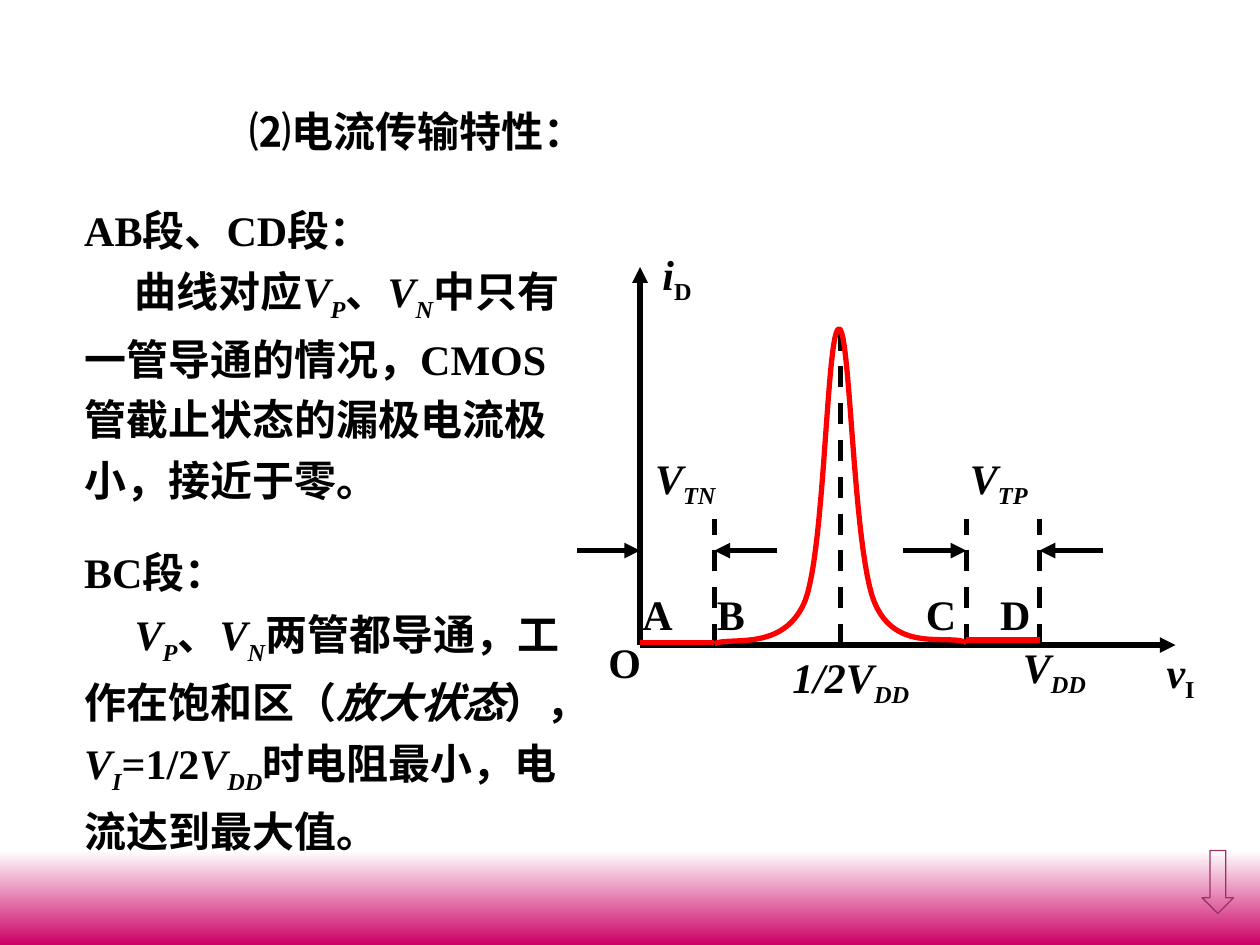
from dataclasses import dataclass

from lxml import etree
from pptx import Presentation
from pptx import util as u
from pptx.dml.color import RGBColor
from pptx.enum import dml, shapes, text
from pptx.oxml.ns import qn

Inches = u.Inches


@dataclass(frozen=True)
class Theme:
    ink: RGBColor = RGBColor(0, 0, 0)
    curve: RGBColor = RGBColor(255, 0, 0)
    paper: RGBColor = RGBColor(255, 255, 255)
    band: RGBColor = RGBColor(204, 0, 102)
    pointer: RGBColor = RGBColor(153, 51, 102)
    font: str = "Times New Roman"
    size: u.Pt = u.Pt(24)
    stroke: u.Pt = u.Pt(3)
    thin: u.Pt = u.Pt(0.75)


theme = Theme()
PLAIN = {}
VAR = {"italic": True}
SUB = {"italic": True, "sub": True}
UPRIGHT_SUB = {"sub": True}


def write(paragraph, words, italic=False, sub=False):
    run = paragraph.add_run()
    run.text = words
    run.font.name = theme.font
    run.font.size = theme.size
    run.font.bold = True
    run.font.italic = italic
    run.font.color.rgb = theme.ink
    if sub:
        run._r.get_or_add_rPr().set("baseline", "-25000")


def draw_line(x1, y1, x2, y2, color=theme.ink, arrow=False, dashed=False):
    line = slide.shapes.add_connector(
        shapes.MSO_CONNECTOR.STRAIGHT, Inches(x1), Inches(y1), Inches(x2), Inches(y2))
    line.line.color.rgb = color
    line.line.width = theme.stroke
    if dashed:
        line.line.dash_style = dml.MSO_LINE.DASH
    if arrow:
        etree.SubElement(line.line._get_or_add_ln(), qn("a:tailEnd"), type="triangle")
    etree.SubElement(line._element.spPr, qn("a:effectLst"))


prs = Presentation()
prs.slide_width, prs.slide_height = Inches(10), Inches(7.5)
slide = prs.slides.add_slide(prs.slide_layouts[5])

band = slide.shapes.add_shape(
    shapes.MSO_SHAPE.RECTANGLE, Inches(0), Inches(6.75), Inches(10), Inches(0.75))
band.shadow.inherit = False
band.line.fill.background()
band.fill.gradient()
band.fill.gradient_angle = 270
for stop, color in zip(band.fill.gradient_stops, (theme.paper, theme.band)):
    stop.color.rgb = color

title = slide.shapes.title
title.left, title.top = Inches(0.75), Inches(0.67)
title.width, title.height = Inches(5.13), Inches(0.74)
title.text_frame.vertical_anchor = text.MSO_ANCHOR.MIDDLE
heading = title.text_frame.paragraphs[0]
heading.alignment = text.PP_ALIGN.CENTER
write(heading, "⑵电流传输特性：")

origin_x, axis_y = 5.08, 5.12
v_tn, v_half, v_tp, v_dd = 5.67, 6.67, 7.67, 8.25
draw_line(origin_x, axis_y, origin_x, 2.12, arrow=True)
draw_line(origin_x, axis_y, 9.33, axis_y, arrow=True)
for x, top in ((v_tn, 4.12), (v_tp, 4.12), (v_half, 2.62), (v_dd, 4.12)):
    draw_line(x, axis_y, x, top, dashed=True)
for x, offset in ((origin_x, -0.5), (v_tn, 0.5), (v_tp, -0.5), (v_dd, 0.5)):
    draw_line(x + offset, 4.37, x, 4.37, arrow=True)

labels = [
    (5, 4.62, 0.44, [("A", PLAIN)]),
    (5.59, 4.62, 0.42, [("B", PLAIN)]),
    (7.25, 4.62, 0.44, [("C", PLAIN)]),
    (7.84, 4.62, 0.44, [("D", PLAIN)]),
    (4.73, 5, 0.46, [("O", PLAIN)]),
    (6.19, 5.12, 1.13, [("1/2V", VAR), ("DD", SUB)]),
    (8.02, 5.04, 0.7, [("V", VAR), ("DD", SUB)]),
    (9.16, 5.08, 0.42, [("v", VAR), ("I", UPRIGHT_SUB)]),
    (5.16, 1.92, 0.43, [("i", VAR), ("D", UPRIGHT_SUB)]),
    (5.1, 3.54, 0.68, [("V", VAR), ("TN", SUB)]),
    (7.6, 3.54, 0.66, [("V", VAR), ("TP", SUB)]),
]
for left, top, width, pieces in labels:
    height = 0.5 if len(pieces) == 1 else 0.56
    label = slide.shapes.add_textbox(Inches(left), Inches(top), Inches(width), Inches(height))
    label.text_frame.word_wrap = False
    label.text_frame.auto_size = text.MSO_AUTO_SIZE.SHAPE_TO_FIT_TEXT
    for words, style in pieces:
        write(label.text_frame.paragraphs[0], words, **style)

vp_vn = [("V", VAR), ("P", SUB), ("、", PLAIN), ("V", VAR), ("N", SUB)]
sections = [
    (1.57, 4.18, 2.49, "AB段、CD段：", [
        ("曲线对应", PLAIN), *vp_vn,
        ("中只有一管导通的情况，CMOS管截止状态的漏极电流极小，接近于零。", PLAIN)]),
    (4.29, 4.1, 2.55, "BC段：", [
        *vp_vn, ("两管都导通，工作在饱和区（", PLAIN), ("放大状态", VAR), ("），", PLAIN),
        ("V", VAR), ("I", SUB), ("=1/2", PLAIN), ("V", VAR), ("DD", SUB),
        ("时电阻最小，电流达到最大值。", PLAIN)]),
]
for top, width, height, segment, explanation in sections:
    section = slide.shapes.add_textbox(Inches(0.57), Inches(top), Inches(width), Inches(height))
    section.text_frame.word_wrap = True
    section.text_frame.auto_size = text.MSO_AUTO_SIZE.SHAPE_TO_FIT_TEXT
    write(section.text_frame.paragraphs[0], segment)
    detail = section.text_frame.add_paragraph()
    detail.line_spacing = 1.2
    detail._p.get_or_add_pPr().set("indent", str(Inches(0.4)))
    for words, style in explanation:
        write(detail, words, **style)

bezier_spans = [
    ((5.67, 5.11), (5.79, 5.05), (6.22, 5.18), (6.39, 4.77)),
    ((6.39, 4.77), (6.55, 4.35), (6.56, 2.61), (6.66, 2.61)),
    ((6.66, 2.61), (6.75, 2.61), (6.77, 4.36), (6.94, 4.78)),
    ((6.94, 4.78), (7.11, 5.19), (7.52, 5.03), (7.67, 5.1)),
]
steps = 24
curve_points = []
for span in bezier_spans:
    for step in range(1, steps + 1):
        t = step / steps
        weights = ((1 - t) ** 3, 3 * t * (1 - t) ** 2, 3 * t ** 2 * (1 - t), t ** 3)
        curve_points.append(tuple(
            Inches(sum(w * point[axis] for w, point in zip(weights, span))) for axis in (0, 1)))
builder = slide.shapes.build_freeform(Inches(5.67), Inches(5.11))
builder.add_line_segments(curve_points, close=False)
current = builder.convert_to_shape()
current.shadow.inherit = False
current.fill.background()
current.line.color.rgb = theme.curve
current.line.width = theme.stroke
draw_line(origin_x, 5.1, v_tn, 5.1, color=theme.curve)
draw_line(v_tp, 5.08, v_dd, 5.08, color=theme.curve)

pointer = slide.shapes.add_shape(
    shapes.MSO_SHAPE.DOWN_ARROW, Inches(9.54), Inches(6.75), Inches(0.25), Inches(0.5))
pointer.shadow.inherit = False
pointer.fill.background()
pointer.line.color.rgb = theme.pointer
pointer.line.width = theme.thin

prs.save("out.pptx")
